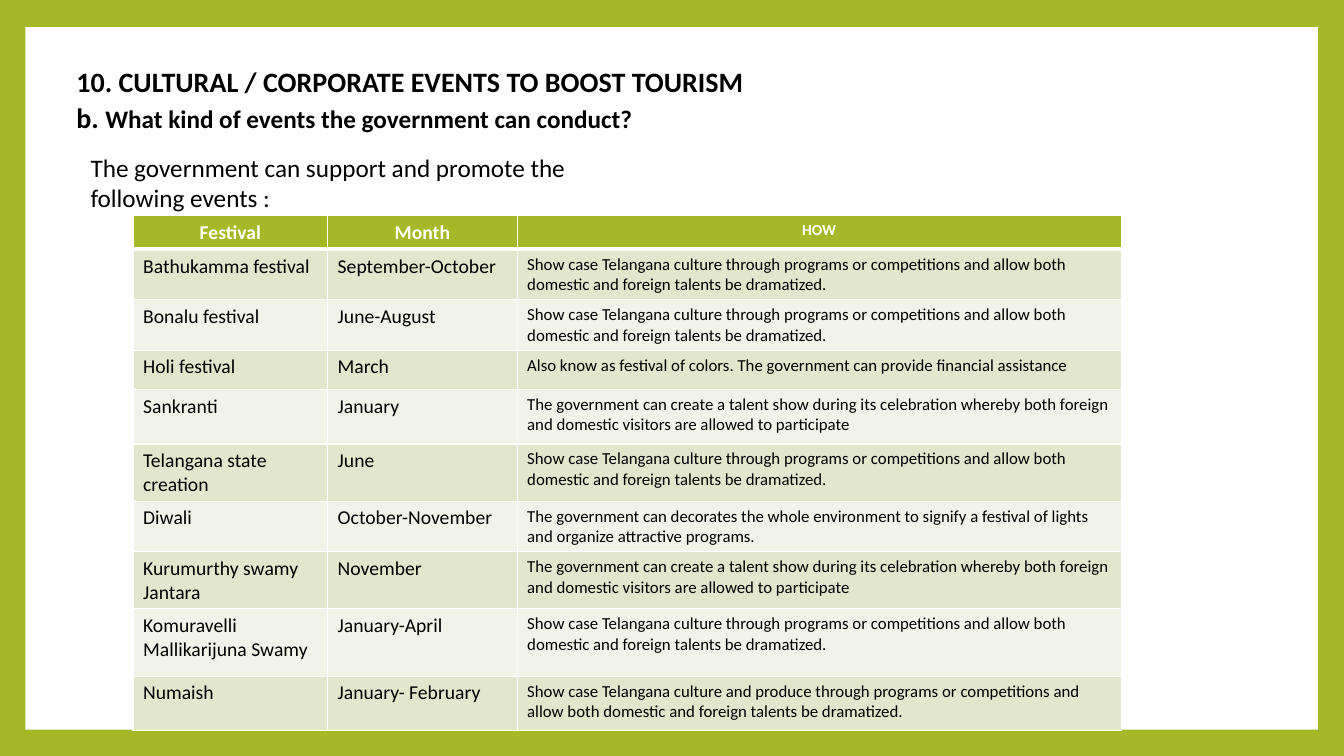
"""Build the slide listing the festivals a government can promote."""
from lxml.etree import SubElement
from pptx import Presentation
from pptx.dml.color import RGBColor
from pptx.enum.shapes import MSO_SHAPE
from pptx.enum.text import MSO_AUTO_SIZE, PP_ALIGN
from pptx.oxml.ns import qn
from pptx.util import Inches, Pt

THEME = {
    "font": "Calibri", "green": "A6B727", "white": "FFFFFF", "black": "000000",
    "bands": ("E1E6CD", "F1F3E8"),
    "title": 20, "subtitle": 18, "cell": 14, "detail": 12, "how": 11,
    "rule": 1, "heavy_rule": 3,
}

presentation = Presentation()
presentation.slide_width, presentation.slide_height = Inches(13.33), Inches(7.5)
slide = presentation.slides.add_slide(presentation.slide_layouts[6])


def percent(*shares):
    """Turn alternating shares of the slide's width and height into lengths."""
    sizes = (presentation.slide_width, presentation.slide_height) * 2
    return [round(size * share / 100) for size, share in zip(sizes, shares)]


def style(paragraph, size, color="black", bold=False):
    """Set the font of a paragraph."""
    font = paragraph.font
    font.name, font.size, font.bold = THEME["font"], Pt(THEME[size]), bold
    font.color.rgb = RGBColor.from_string(THEME[color])


slide.background.fill.solid()
slide.background.fill.fore_color.rgb = RGBColor.from_string(THEME["green"])
panel = slide.shapes.add_shape(MSO_SHAPE.RECTANGLE, *percent(1.88, 3.6, 96.17, 92.93))
panel.shadow.inherit = False
panel.fill.solid()
panel.fill.fore_color.rgb = RGBColor.from_string(THEME["white"])
panel.line.fill.background()

heading = slide.shapes.add_textbox(*percent(4.95, 7.87, 51.31, 36.13)).text_frame
intro = slide.shapes.add_textbox(*percent(6, 19.47, 43.89, 9.47)).text_frame
for frame in (heading, intro):
    frame.word_wrap = True
    frame.auto_size = MSO_AUTO_SIZE.SHAPE_TO_FIT_TEXT

title = heading.paragraphs[0]
title.text = "10. CULTURAL / CORPORATE EVENTS TO BOOST TOURISM"
style(title, "title", bold=True)
question = heading.add_paragraph()
question.alignment = PP_ALIGN.JUSTIFY
question.line_spacing = 1.08
question.space_after = Pt(31.4)
style(question, "title", bold=True)
question.add_run().text = "b. "
question_run = question.add_run()
question_run.text = "What kind of events the government can conduct?"
question_run.font.size = Pt(THEME["subtitle"])

intro.paragraphs[0].text = "The government can support and promote the following events :"
style(intro.paragraphs[0], "subtitle")

SHOWCASE = ("Show case Telangana culture through programs or competitions and allow both "
            "domestic and foreign talents be dramatized.")
TALENT_SHOW = ("The government can create a talent show during its celebration whereby both "
               "foreign and domestic visitors are allowed to participate")
EVENTS = [
    (4.27, "Festival", "Month", "HOW"),
    (6.27, "Bathukamma festival", "September-October", SHOWCASE),
    (6.13, "Bonalu festival", "June-August", SHOWCASE),
    (5.2, "Holi festival", "March",
     "Also know as festival of colors. The government can provide financial assistance"),
    (7.2, "Sankranti", "January", TALENT_SHOW),
    (7.2, "Telangana state creation", "June", SHOWCASE),
    (6, "Diwali", "October-November",
     "The government can decorates the whole environment to signify a festival of lights "
     "and organize attractive programs."),
    (7.2, "Kurumurthy swamy Jantara", "November", TALENT_SHOW),
    (8.93, "Komuravelli Mallikarijuna Swamy", "January-April", SHOWCASE),
    (7.2, "Numaish", "January- February",
     "Show case Telangana culture and produce through programs or competitions and "
     "allow both domestic and foreign talents be dramatized."),
]
COLUMN_SHARES = (14.48, 14.1, 44.94)

table = slide.shapes.add_table(
    len(EVENTS), len(COLUMN_SHARES),
    *percent(9.9, 28.53, sum(COLUMN_SHARES), sum(event[0] for event in EVENTS))).table
for column, share in zip(table.columns, COLUMN_SHARES):
    column.width = percent(share)[0]

for row_index, (row_share, *texts) in enumerate(EVENTS):
    table.rows[row_index].height = percent(0, row_share)[1]
    is_header = row_index == 0
    fill_color = THEME["green"] if is_header else THEME["bands"][(row_index - 1) % 2]
    for column_index, text in enumerate(texts):
        cell = table.cell(row_index, column_index)
        cell.text = text
        paragraph = cell.text_frame.paragraphs[0]
        is_detail = column_index == 2
        if is_header:
            paragraph.alignment = PP_ALIGN.CENTER
            style(paragraph, "how" if is_detail else "cell", "white", bold=True)
        else:
            style(paragraph, "detail" if is_detail else "cell")

        properties = cell._tc.get_or_add_tcPr()
        for side in "LRTB":
            heavy = (row_index, side) in ((0, "B"), (1, "T"))
            width = Pt(THEME["heavy_rule" if heavy else "rule"])
            border = SubElement(properties, qn(f"a:ln{side}"), w=str(width))
            border_fill = SubElement(border, qn("a:solidFill"))
            SubElement(border_fill, qn("a:srgbClr"), val=THEME["white"])
        cell.fill.solid()
        cell.fill.fore_color.rgb = RGBColor.from_string(fill_color)

presentation.save("out.pptx")
